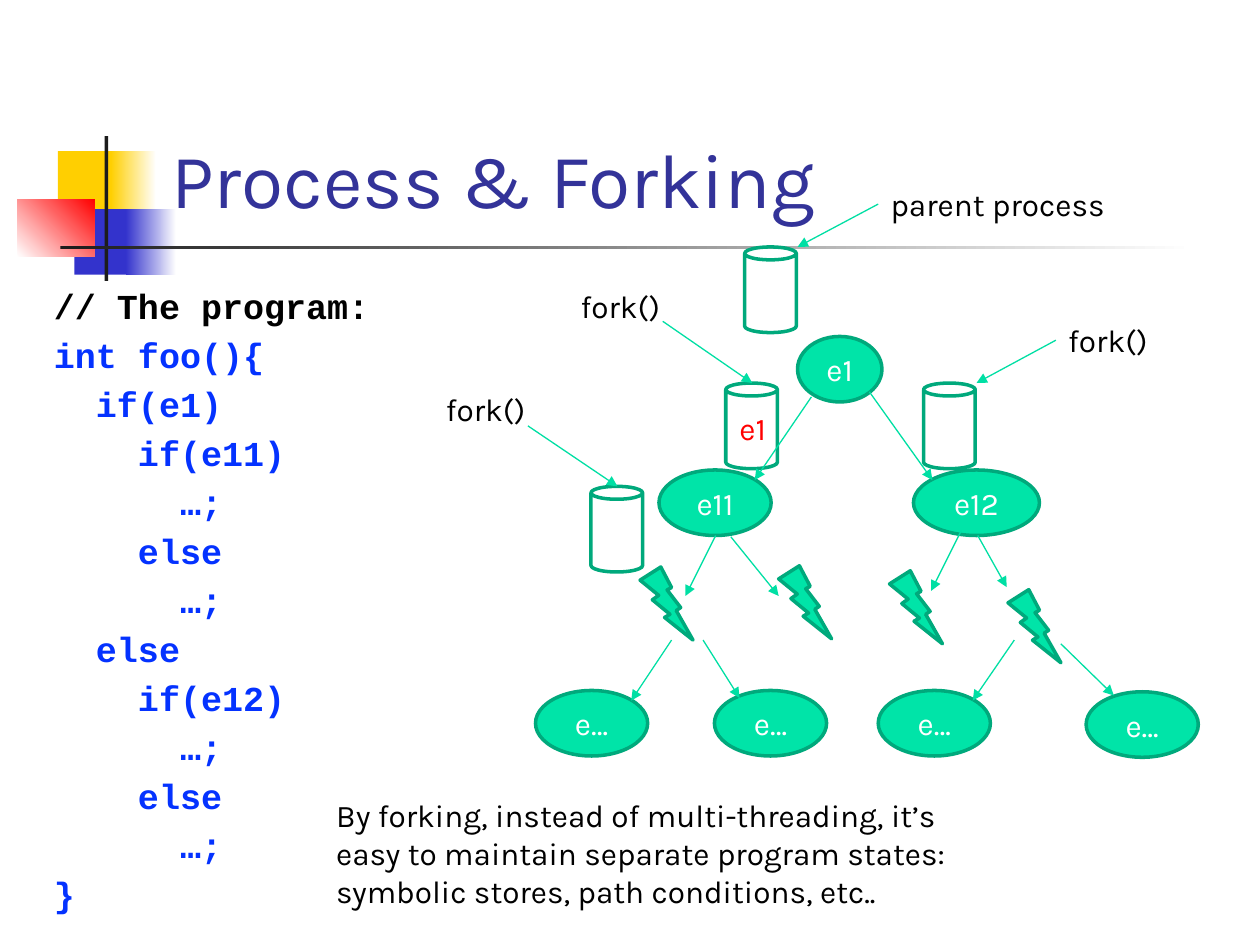
from lxml.etree import SubElement
from pptx import Presentation
from pptx.dml.color import RGBColor
from pptx.enum.shapes import MSO_CONNECTOR as Link, MSO_SHAPE as Kind
from pptx.enum.text import MSO_ANCHOR as Anchor, PP_ALIGN as Align
from pptx.oxml.ns import qn
from pptx.util import Inches, Pt

GREEN, EDGE, ARROW = "00E4A8", "00A97C", "00DFA4"
BLACK, WHITE, BLUE = "000000", "FFFFFF", "0432FF"

CODE = """// The program:
int foo(){
  if(e1)
    if(e11)
      …;
    else
      …;
  else
    if(e12)
      …;
    else
      …;
}""".split("\n")

NODES = [
    ("e1", 6.33, 2.67, 0.67), ("e11", 5.23, 3.73, 0.89), ("e12", 7.25, 3.73, 1),
    ("e…", 4.25, 5.48, 0.89), ("e…", 5.67, 5.48, 0.89),
    ("e…", 6.97, 5.48, 0.89), ("e…", 8.62, 5.49, 0.89),
]
BOLTS = [(5.08, 4.5), (6.18, 4.49), (7.06, 4.53), (8, 4.68)]
CANS = [(5.91, 1.96), (5.76, 3.04), (7.33, 3.04), (4.69, 3.86)]
BRANCHES = [
    (6.44, 3.15, 5.99, 3.81), (6.9, 3.11, 7.4, 3.81),
    (5.68, 4.25, 5.44, 4.73), (5.8, 4.26, 6.18, 4.73),
    (7.63, 4.21, 7.39, 4.69), (7.76, 4.25, 7.99, 4.66),
    (5.33, 5.08, 5.01, 5.56), (5.58, 5.08, 5.87, 5.54),
    (8.05, 5.08, 7.72, 5.56), (8.42, 5.11, 8.84, 5.52),
]
CALLS = [
    (6.97, 1.62, 6.33, 1.96), (5.26, 2.55, 5.97, 3.04),
    (8.38, 2.7, 7.75, 3.04), (4.19, 3.38, 4.9, 3.86),
]
LABELS = [
    ("e1", 5.77, 3.2, 0.89, 0.4, "FF0000"),
    ("parent process", 6.97, 1.42, 2.2, 0.4, BLACK),
    ("fork()", 4.51, 2.23, 1.22, 0.4, BLACK),
    ("fork()", 8.38, 2.5, 2.2, 0.4, BLACK),
    ("fork()", 3.44, 3.05, 1.22, 0.4, BLACK),
    ("By forking, instead of multi-threading, it’s easy to maintain separate "
     "program states: symbolic stores, path conditions, etc..",
     2.57, 6.27, 5.42, 1.01, BLACK),
]


def rgb(code):
    return RGBColor.from_string(code)


def write(shape, lines, size=18, font="Karla", color=BLACK, bold=False,
          align=Align.LEFT, anchor=Anchor.TOP, gap=0):
    """Fill a shape with paragraphs; gap is the space between them in points."""
    frame = shape.text_frame
    frame.word_wrap = True
    frame.vertical_anchor = anchor
    for i, line in enumerate(lines):
        para = frame.add_paragraph() if i else frame.paragraphs[0]
        para.alignment = align
        para.space_before = Pt(gap if i else 0)
        run = para.add_run()
        run.text = line
        run.font.size, run.font.name, run.font.bold = Pt(size), font, bold
        run.font.color.rgb = rgb(color)
    return frame


def label(slide, lines, x, y, w, h, **look):
    box = slide.shapes.add_textbox(Inches(x), Inches(y), Inches(w), Inches(h))
    return write(box, lines, **look)


def draw(slide, kind, x, y, w, h, fill=None, line=None):
    shape = slide.shapes.add_shape(kind, Inches(x), Inches(y), Inches(w), Inches(h))
    shape.shadow.inherit = False
    if fill:
        shape.fill.solid()
        shape.fill.fore_color.rgb = rgb(fill)
    else:
        shape.fill.background()
    if line:
        shape.line.color.rgb = rgb(line)
        shape.line.width = Pt(2)
    else:
        shape.line.fill.background()
    return shape


def fade(slide, x, y, w, h, start, end, angle=0):
    """Draw a rectangle with a two-colour gradient."""
    fill = draw(slide, Kind.RECTANGLE, x, y, w, h).fill
    fill.gradient()
    fill.gradient_angle = angle
    for stop, color, place in zip(fill.gradient_stops, (start, end), (0, 1)):
        stop.color.rgb = rgb(color)
        stop.position = place


def arrow(slide, *ends):
    link = slide.shapes.add_connector(Link.STRAIGHT, *map(Inches, ends))
    link.line.color.rgb = rgb(ARROW)
    link.line.width = Pt(0.75)
    SubElement(link.line._get_or_add_ln(), qn("a:tailEnd"), type="triangle")
    SubElement(link._element.spPr, qn("a:effectLst"))


def motif(slide):
    """Draw the coloured squares and rules beside the title."""
    draw(slide, Kind.RECTANGLE, 0.46, 1.2, 0.48, 0.52, "FFCF01")
    fade(slide, 0.88, 1.2, 0.36, 0.52, "FFCF01", WHITE)
    draw(slide, Kind.RECTANGLE, 0.59, 1.66, 0.46, 0.52, "3333CC")
    fade(slide, 1, 1.66, 0.4, 0.52, "3333CC", WHITE)
    fade(slide, 0.14, 1.58, 0.61, 0.46, WHITE, "FF0000", 45)
    draw(slide, Kind.RECTANGLE, 0.83, 1.08, 0.03, 1.15, "1C1C1C")
    fade(slide, 0.48, 1.95, 9, 0.03, "1C1C1C", WHITE)


def listing(slide):
    frame = label(slide, CODE, 0.33, 2.21, 9.46, 4.5, size=20,
                  font="Courier New", color=BLUE, bold=True, gap=4)
    frame.paragraphs[0].runs[0].font.color.rgb = rgb(BLACK)


def tree(slide):
    for text, x, y, w in NODES:
        node = draw(slide, Kind.OVAL, x, y, w, 0.52, GREEN, EDGE)
        write(node, [text], color=WHITE, align=Align.CENTER, anchor=Anchor.MIDDLE)
    for x, y in BOLTS:
        draw(slide, Kind.LIGHTNING_BOLT, x, y, 0.42, 0.58, GREEN, EDGE)
    for x, y in CANS:
        draw(slide, Kind.CAN, x, y, 0.41, 0.68, line=EDGE)
    for ends in BRANCHES + CALLS:
        arrow(slide, *ends)
    for text, x, y, w, h, color in LABELS:
        label(slide, [text], x, y, w, h, color=color)


def main():
    deck = Presentation()
    deck.slide_width, deck.slide_height = Inches(10), Inches(7.5)
    slide = deck.slides.add_slide(deck.slide_layouts[6])
    motif(slide)
    label(slide, ["Process & Forking"], 1.26, 0.23, 8.52, 1.6,
          size=44, color="333399", anchor=Anchor.BOTTOM)
    listing(slide)
    tree(slide)
    deck.save("out.pptx")


if __name__ == "__main__":
    main()
